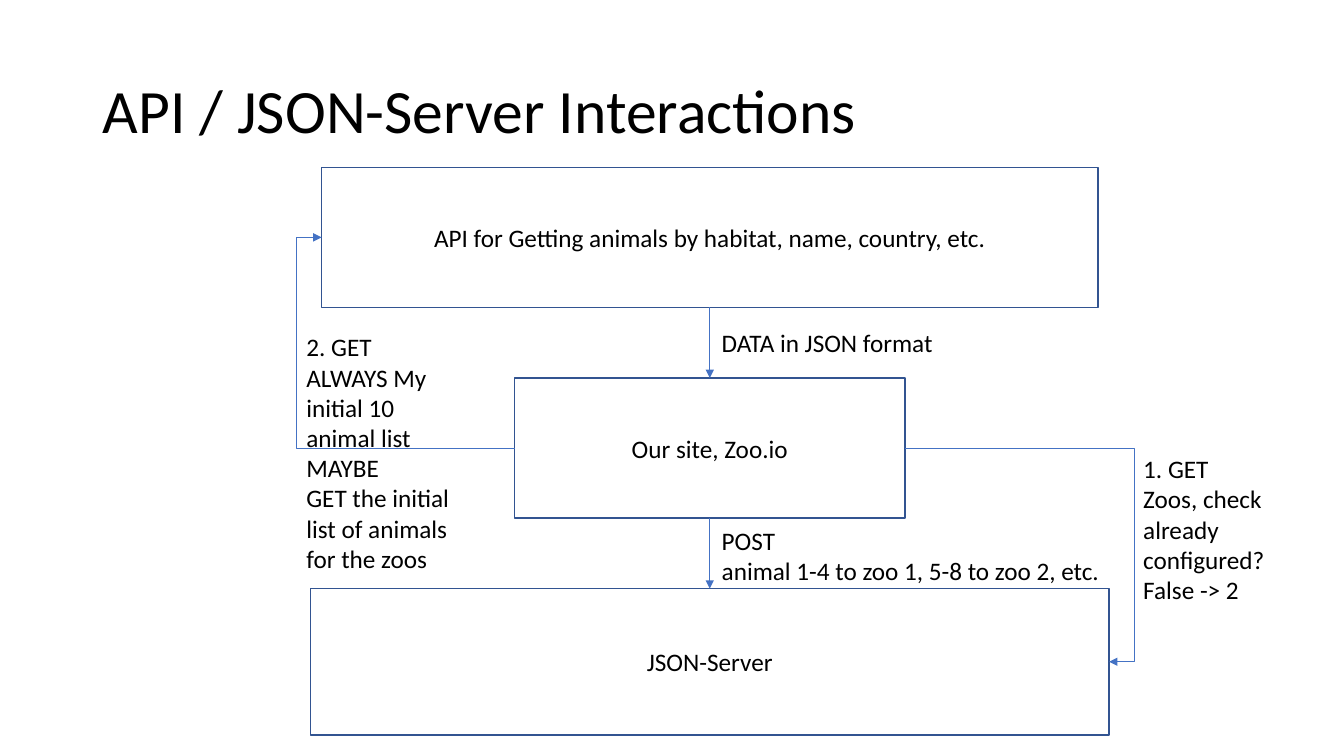
import pptx
import pptx.util
import pptx.dml.color
import pptx.enum.shapes
import pptx.enum.text
import pptx.oxml
import pptx.oxml.ns

Inches = pptx.util.Inches
Pt = pptx.util.Pt
Anchor = pptx.enum.text.MSO_ANCHOR
Align = pptx.enum.text.PP_ALIGN
Link = pptx.enum.shapes.MSO_CONNECTOR
hues = {"text": "000000", "edge": "325491", "arrow": "4472C4"}


def color(name):
    return pptx.dml.color.RGBColor.from_string(hues[name])


def write(frame, lines, size, align, anchor):
    frame.word_wrap = True
    frame.vertical_anchor = anchor
    frame.text = "\n".join(lines)
    for para in frame.paragraphs:
        para.alignment = align
        para.font.name = "Calibri"
        para.font.size = Pt(size)
        para.font.color.rgb = color("text")


deck = pptx.Presentation()
deck.slide_width = Inches(13.33)
deck.slide_height = Inches(7.5)
slide = deck.slides.add_slide(deck.slide_layouts[5])
shapes = slide.shapes

# Title
title = shapes.title
title.left, title.top = Inches(0.92), Inches(0.4)
title.width, title.height = Inches(11.5), Inches(1.45)
write(title.text_frame, ["API / JSON-Server Interactions"], 44, Align.LEFT, Anchor.MIDDLE)
title.text_frame.paragraphs[0].line_spacing = 0.9

# Boxes, centred on one axis
axis = 7.04
boxes = []
for top, width, height, label in [
    (1.66, 7.7, 1.39, "API for Getting animals by habitat, name, country, etc."),
    (3.75, 3.87, 1.39, "Our site, Zoo.io"),
    (5.84, 7.92, 1.45, "JSON-Server"),
]:
    box = shapes.add_shape(
        pptx.enum.shapes.MSO_SHAPE.RECTANGLE,
        Inches(axis - width / 2), Inches(top), Inches(width), Inches(height))
    box.shadow.inherit = False
    box.fill.background()
    box.line.color.rgb = color("edge")
    box.line.width = Pt(1)
    write(box.text_frame, [label], 18, Align.CENTER, Anchor.MIDDLE)
    boxes.append(box)
api, site, server = boxes

# Arrows: sites run 0 top, 1 left, 2 bottom, 3 right
for start, out, end, into, bend in [
    (api, 2, site, 0, None),
    (site, 2, server, 0, None),
    (site, 1, api, 1, 113000),
    (site, 3, server, 3, 112300),
]:
    kind = Link.ELBOW if bend else Link.STRAIGHT
    arrow = shapes.add_connector(kind, 0, 0, 0, 0)
    arrow.begin_connect(start, out)
    arrow.end_connect(end, into)
    arrow.line.color.rgb = color("arrow")
    arrow.line.width = Pt(0.5)
    props = arrow.element.spPr
    if bend:
        guides = props.find(pptx.oxml.ns.qn("a:prstGeom")).get_or_add_avLst()
        guide = pptx.oxml.parse_xml(
            f'<a:gd {pptx.oxml.ns.nsdecls("a")} name="adj1" fmla="val {bend}"/>')
        guides.append(guide)
    head = pptx.oxml.parse_xml(
        f'<a:tailEnd {pptx.oxml.ns.nsdecls("a")} type="triangle"/>')
    arrow.line._get_or_add_ln().append(head)
    props.append(pptx.oxml.parse_xml(f'<a:effectLst {pptx.oxml.ns.nsdecls("a")}/>'))

# Arrow notes
for left, top, width, height, lines in [
    (2.94, 3.24, 1.78, 2.52, ["2. GET", "ALWAYS My initial 10 animal list", "MAYBE",
                              "GET the initial list of animals for the zoos"]),
    (7.06, 3.2, 2.41, 0.4, ["DATA in JSON format"]),
    (7.06, 5.16, 4.39, 0.71, ["POST", "animal 1-4 to zoo 1, 5-8 to zoo 2, etc."]),
    (11.24, 4.45, 1.78, 1.62, ["1. GET", "Zoos, check already configured?", "False -> 2"]),
]:
    note = shapes.add_textbox(Inches(left), Inches(top), Inches(width), Inches(height))
    write(note.text_frame, lines, 18, Align.LEFT, Anchor.TOP)

deck.save("out.pptx")
